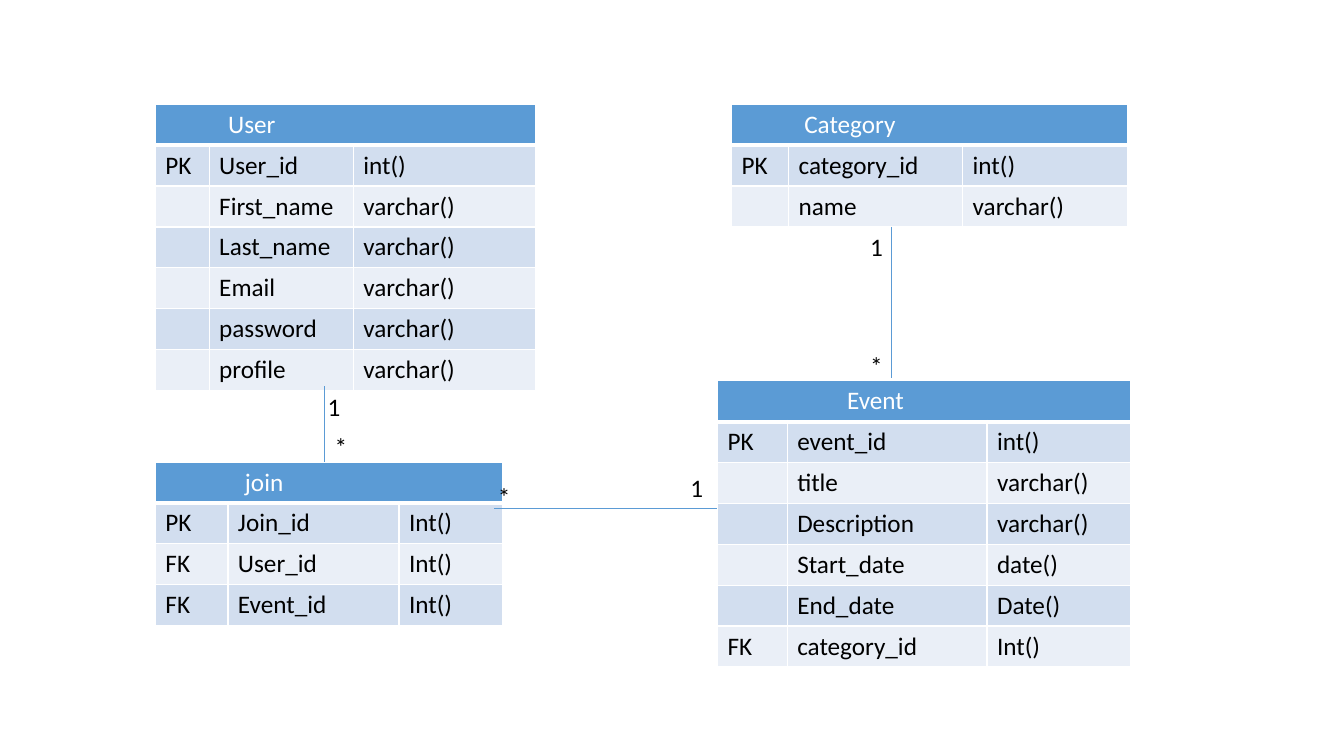
from pptx import Presentation
from pptx.dml.color import RGBColor
from pptx.enum.shapes import MSO_CONNECTOR
from pptx.enum.text import MSO_AUTO_SIZE
from pptx.oxml.ns import qn
from pptx.util import Pt
from lxml.etree import SubElement, Element

COLORS = {"header": "5B9BD5", "odd": "D2DEEF", "even": "EAEFF7",
          "white": "FFFFFF", "text": "000000"}
ROW_HEIGHT = 29.2


def set_font(paragraph, color):
    paragraph.font.name = "Calibri"
    paragraph.font.size = Pt(18)
    paragraph.font.color.rgb = RGBColor.from_string(COLORS[color])


def style_cell(cell, fill, color, bottom):
    cell.fill.solid()
    cell.fill.fore_color.rgb = RGBColor.from_string(COLORS[fill])
    set_font(cell.text_frame.paragraphs[0], color)
    # Borders come before the fill in the cell properties
    properties = cell._tc.get_or_add_tcPr()
    widths = {"a:lnL": 1, "a:lnR": 1, "a:lnT": 1, "a:lnB": bottom}
    for position, (side, width) in enumerate(widths.items()):
        border = Element(qn(side), w=str(Pt(width)))
        solid = SubElement(border, qn("a:solidFill"))
        SubElement(solid, qn("a:srgbClr"), val=COLORS["white"])
        properties.insert(position, border)


prs = Presentation()
prs.slide_width, prs.slide_height = Pt(960), Pt(540)
slide = prs.slides.add_slide(prs.slide_layouts[6])

# Entities: title, title indent, left, top, column widths, fields
entities = [
    ("User", 52, 111, 74.5, (38.4, 103, 130), [
        ("PK", "User_id", "int()"), ("", "First_name", "varchar()"),
        ("", "Last_name", "varchar()"), ("", "Email", "varchar()"),
        ("", "password", "varchar()"), ("", "profile", "varchar()")]),
    ("Category", 52, 522.5, 74.5, (40.8, 124.3, 118), [
        ("PK", "category_id", "int()"), ("", "name", "varchar()")]),
    ("Event", 92.6, 512.5, 272, (49.8, 142.7, 97.3), [
        ("PK", "event_id", "int()"), ("", "title", "varchar()"),
        ("", "Description", "varchar()"), ("", "Start_date", "date()"),
        ("", "End_date", "Date()"), ("FK", "category_id", "Int()")]),
    ("join", 64, 111, 330, (51.8, 122.2, 68), [
        ("PK", "Join_id", "Int()"), ("FK", "User_id", "Int()"),
        ("FK", "Event_id", "Int()")]),
]
for title, indent, left, top, widths, fields in entities:
    row_count = len(fields) + 1
    entity = slide.shapes.add_table(
        row_count, 3, Pt(left), Pt(top), Pt(sum(widths)),
        Pt(ROW_HEIGHT * row_count)).table
    for column, width in zip(entity.columns, widths):
        column.width = Pt(width)
    for row in entity.rows:
        row.height = Pt(ROW_HEIGHT)

    heading = entity.cell(0, 0)
    heading.merge(entity.cell(0, 2))
    heading.text = title
    heading.margin_left = Pt(indent)
    for column in range(3):
        style_cell(entity.cell(0, column), "header", "white", 3)

    for r, field in enumerate(fields, 1):
        for c, value in enumerate(field):
            cell = entity.cell(r, c)
            cell.text = value
            style_cell(cell, "odd" if r % 2 else "even", "text", 1)

# Relations between the entities
relations = [(636.5, 162, 636.5, 270),   # Category to Event
             (232, 276, 232, 330),       # User to join
             (353, 363, 512.5, 363)]     # join to Event
for ends in relations:
    relation = slide.shapes.add_connector(
        MSO_CONNECTOR.STRAIGHT, *[Pt(value) for value in ends])
    relation.line.color.rgb = RGBColor.from_string(COLORS["header"])
    relation.line.width = Pt(0.5)
    SubElement(relation._element.spPr, qn("a:effectLst"))

# Cardinalities at the ends of the relations
cardinalities = [("1", 614.5, 162), ("*", 614.5, 247), ("*", 348.5, 340.5),
                 ("*", 232, 304.5), ("1", 227, 276), ("1", 486, 333.5)]
for mark, left, top in cardinalities:
    frame = slide.shapes.add_textbox(
        Pt(left), Pt(top), Pt(45), Pt(ROW_HEIGHT)).text_frame
    frame.word_wrap = True
    frame.auto_size = MSO_AUTO_SIZE.SHAPE_TO_FIT_TEXT
    frame.text = mark
    set_font(frame.paragraphs[0], "text")

prs.save("out.pptx")
